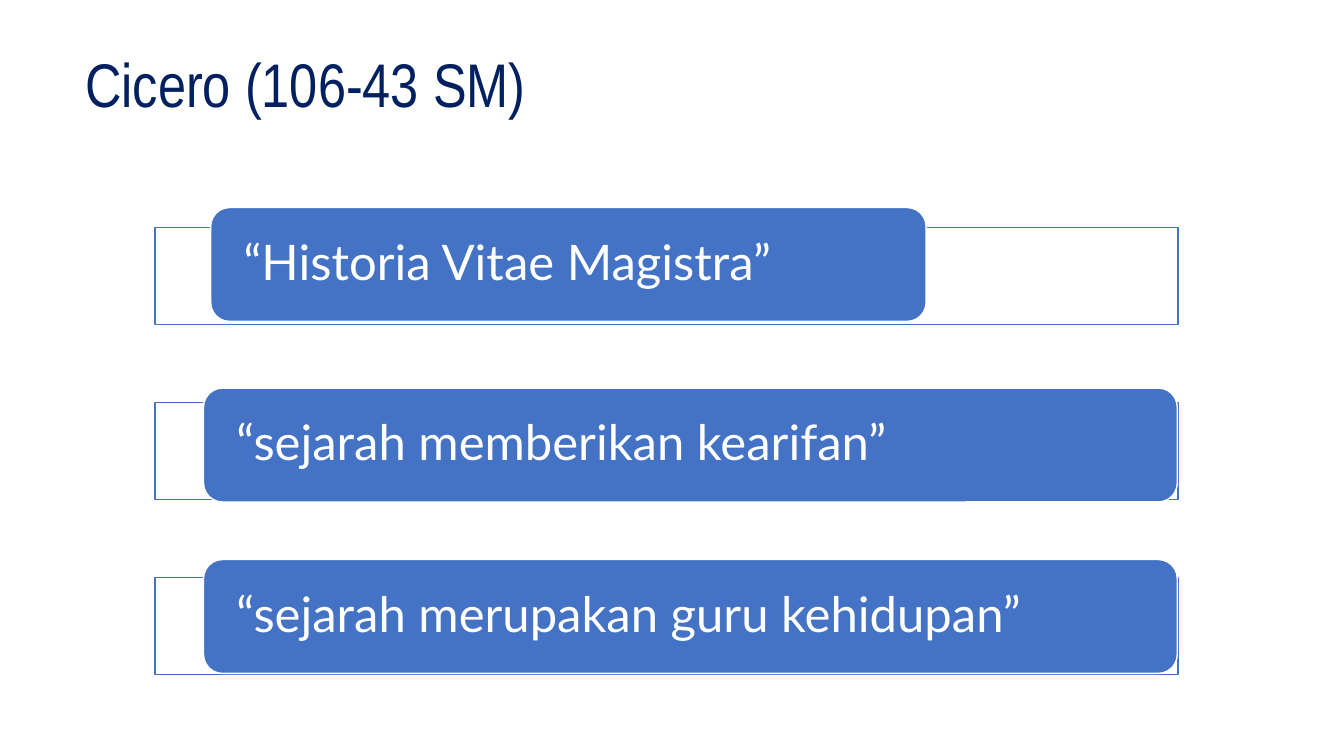
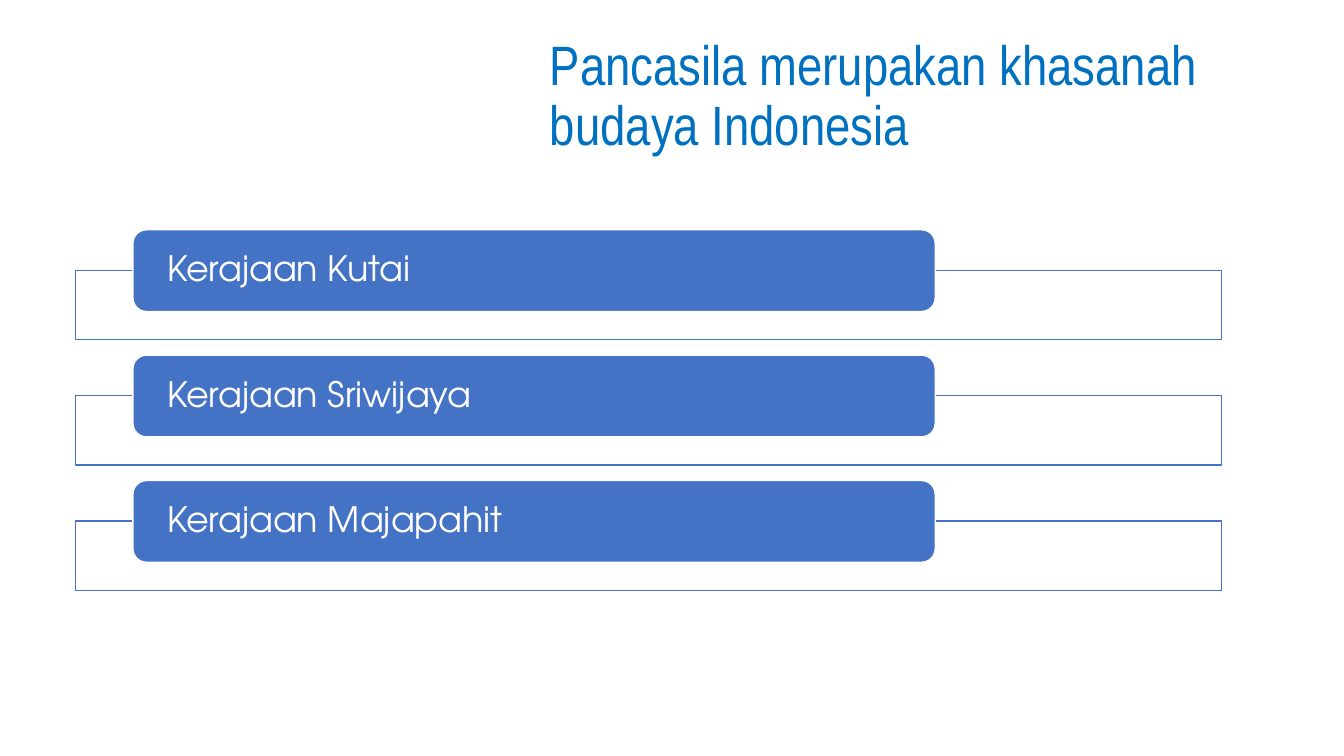
from pptx import Presentation
from pptx import util as u
from pptx.dml.color import RGBColor
from pptx.enum import shapes, text

NAVY = RGBColor(0x00, 0x20, 0x60)
SKY = RGBColor(0x00, 0x70, 0xC0)
BLUE = RGBColor(0x44, 0x72, 0xC4)
WHITE = RGBColor(0xFF, 0xFF, 0xFF)
TITLE_FONT = "Arial Narrow"


class Deck:
    """Holds the shared style and the slide being built."""

    def __init__(self):
        self.deck = Presentation()
        self.deck.slide_width = u.Cm(33.87)
        self.deck.slide_height = u.Cm(19.05)
        self.page = None

    def add_page(self):
        self.page = self.deck.slides.add_slide(self.deck.slide_layouts[6])

    def label(self, box, words, font, size, color):
        frame = box.text_frame
        frame.word_wrap = True
        frame.vertical_anchor = text.MSO_ANCHOR.MIDDLE
        para = frame.paragraphs[0]
        para.alignment = text.PP_ALIGN.LEFT
        para.line_spacing = 0.9
        span = para.add_run()
        span.text = words
        span.font.name = font
        span.font.size = u.Pt(size)
        span.font.color.rgb = color

    def title(self, words, left, top, width, size, color):
        box = self.page.shapes.add_textbox(
            u.Cm(left), u.Cm(top), u.Cm(width), u.Cm(3.2))
        self.label(box, words, TITLE_FONT, size, color)

    def block(self, kind, place, fill, line):
        box = self.page.shapes.add_shape(kind, *map(u.Cm, place))
        box.shadow.inherit = False
        box.fill.solid()
        box.fill.fore_color.rgb = fill
        box.line.color.rgb = line
        box.line.width = u.Pt(1)
        return box

    def frame(self, *place):
        self.block(shapes.MSO_SHAPE.RECTANGLE, place, WHITE, BLUE)

    def bar(self, words, place, font, size, inset):
        box = self.block(shapes.MSO_SHAPE.ROUNDED_RECTANGLE, place, BLUE, WHITE)
        frame = box.text_frame
        frame.margin_left = frame.margin_right = u.Cm(inset)
        frame.margin_top = frame.margin_bottom = 0
        self.label(box, words, font, size, WHITE)

    def save(self):
        self.deck.save("out.pptx")


def cicero(deck):
    deck.add_page()
    deck.title("Cicero (106-43 SM)", 1.9, 0.61, 28.88, 44, NAVY)
    quotes = [
        ("“Historia Vitae Magistra”", 5.31, 5.23, 18.03),
        ("“sejarah memberikan kearifan”", 5.13, 9.78, 24.54),
        ("“sejarah merupakan guru kehidupan”", 5.13, 14.1, 24.54),
    ]
    for row, (quote, left, top, width) in enumerate(quotes):
        deck.frame(3.91, 5.74 + row * 4.41, 25.78, 2.44)
        deck.bar(quote, (left, top, width, 2.87), "Lato", 35, 0.69)


def kingdoms(deck):
    deck.add_page()
    deck.title("Pancasila merupakan khasanah budaya Indonesia",
               13.61, 0.86, 18.59, 39.6, SKY)
    for row, name in enumerate(["Kutai", "Sriwijaya", "Majapahit"]):
        drop = row * 3.16
        deck.frame(1.9, 6.81 + drop, 28.88, 1.75)
        deck.bar(f"Kerajaan {name}", (3.35, 5.79 + drop, 20.22, 2.06),
                 "TeX Gyre Adventor", 25, 0.76)


def main():
    deck = Deck()
    cicero(deck)
    kingdoms(deck)
    deck.save()


if __name__ == "__main__":
    main()
